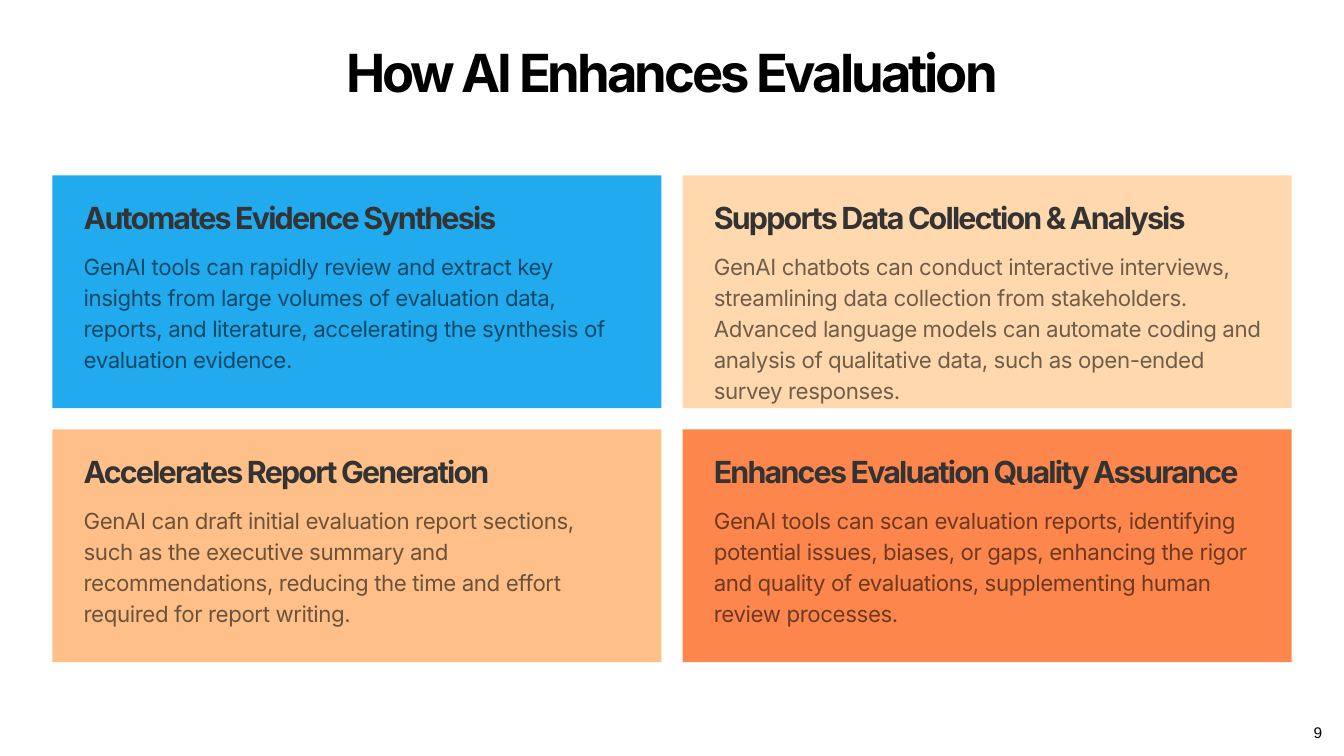
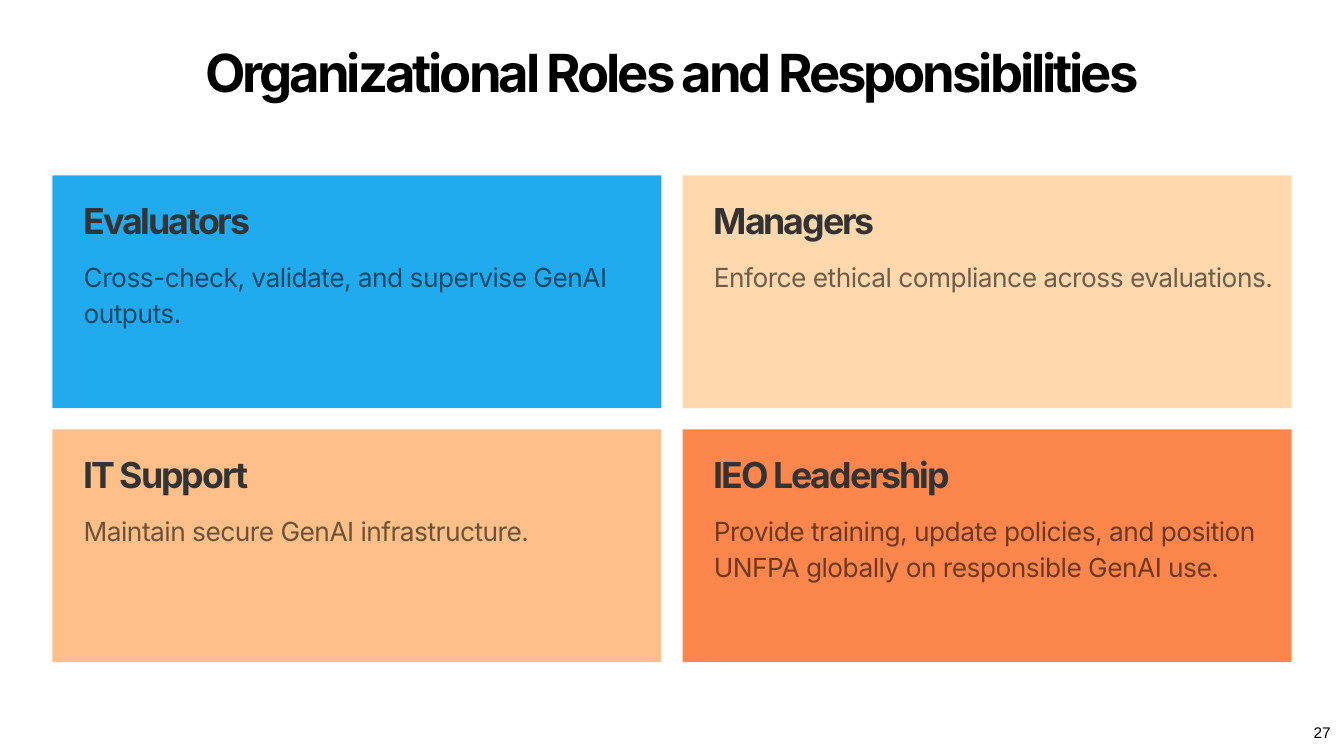
import dataclasses
import lxml.etree
import pptx
import pptx.dml.color
import pptx.enum.shapes
import pptx.enum.text
import pptx.oxml.ns
import pptx.util

Inches = pptx.util.Inches
Pt = pptx.util.Pt
ALIGN = pptx.enum.text.PP_ALIGN
qn = pptx.oxml.ns.qn


@dataclasses.dataclass(frozen=True)
class Style:
    size: float
    color: str
    font: str = "Inter"
    bold: bool = False
    track: float = 0
    line: float = 0
    alpha: int = 100
    align: int = ALIGN.LEFT


@dataclasses.dataclass(frozen=True)
class Cards:
    head: Style
    body: Style
    head_top: float
    head_high: float
    body_top: float


class Theme:
    fills = ("22AAEE", "FFD9AD", "FEC088", "FD864D")
    dark = "333333"
    black = "000000"
    title = Style(37.5, black, bold=True, track=-2.2, line=43.8, align=ALIGN.CENTER)
    page = Style(11, black, font="Arial")
    small = Cards(
        Style(21.7, dark, bold=True, track=-1.3, line=25.3),
        Style(15.9, black, track=-0.3, line=22.1, alpha=56),
        0.25, 0.35, 0.73)
    large = Cards(
        Style(25.5, dark, bold=True, track=-1.5, line=29.8),
        Style(18.8, black, track=-0.4, line=26, alpha=56),
        0.24, 0.41, 0.8)


WIDE, HIGH = 13.33, 7.5
LEFT, TOP = 0.52, 1.74
CARD_WIDE, CARD_HIGH = 6.04, 2.31
GAP = 0.21
INDENT = 0.31
TEXT_WIDE = 6.07


def write(shape, text, style, inset=True):
    frame = shape.text_frame
    frame.auto_size = pptx.enum.text.MSO_AUTO_SIZE.NONE
    frame.vertical_anchor = pptx.enum.text.MSO_ANCHOR.TOP
    frame.word_wrap = True
    if not inset:
        frame.margin_left = frame.margin_right = 0
        frame.margin_top = frame.margin_bottom = 0
    para = frame.paragraphs[0]
    para.text = text
    para.alignment = style.align
    if style.line:
        para.line_spacing = Pt(style.line)
    font = para.font
    font.name = style.font
    font.size = Pt(style.size)
    font.bold = style.bold
    font.color.rgb = pptx.dml.color.RGBColor.from_string(style.color)
    props = para._p.pPr.find(qn("a:defRPr"))
    if style.track:
        props.set("spc", str(round(style.track * 100)))
    if style.alpha < 100:
        color = props.find(".//" + qn("a:srgbClr"))
        alpha = lxml.etree.SubElement(color, qn("a:alpha"))
        alpha.set("val", str(style.alpha * 1000))


def add_text(slide, text, style, left, top, wide, high, inset=False):
    box = slide.shapes.add_textbox(Inches(left), Inches(top), Inches(wide), Inches(high))
    write(box, text, style, inset)


def add_title(slide, text):
    title = slide.shapes.title
    title.left, title.top = Inches(0), Inches(0.41)
    title.width, title.height = Inches(WIDE), Inches(0.61)
    write(title, text, Theme.title, inset=False)


def add_card(slide, place, kind, head, body, wide, high):
    row, col = divmod(place, 2)
    left = LEFT + col * (CARD_WIDE + GAP)
    top = TOP + row * (CARD_HIGH + GAP)
    panel = slide.shapes.add_shape(
        pptx.enum.shapes.MSO_SHAPE.RECTANGLE,
        Inches(left), Inches(top), Inches(CARD_WIDE), Inches(CARD_HIGH))
    panel.shadow.inherit = False
    panel.fill.solid()
    panel.fill.fore_color.rgb = pptx.dml.color.RGBColor.from_string(Theme.fills[place])
    panel.line.fill.background()
    add_text(slide, head, kind.head, left + INDENT, top + kind.head_top,
             TEXT_WIDE, kind.head_high)
    add_text(slide, body, kind.body, left + INDENT, top + kind.body_top, wide, high)


def add_slide(deck, title, page, kind, cards):
    slide = deck.slides.add_slide(deck.slide_layouts.get_by_name("Title Only"))
    add_title(slide, title)
    for place, card in enumerate(cards):
        add_card(slide, place, kind, *card)
    add_text(slide, page, Theme.page, 12.93, 7.12, 0.4, 0.33, inset=True)


def main():
    deck = pptx.Presentation()
    deck.slide_width, deck.slide_height = Inches(WIDE), Inches(HIGH)
    add_slide(deck, "How AI Enhances Evaluation", "9", Theme.small, (
        ("Automates Evidence Synthesis",
         "GenAI tools can rapidly review and extract key insights from large volumes of "
         "evaluation data, reports, and literature, accelerating the synthesis of "
         "evaluation evidence.", 5.46, 1.23),
        ("Supports Data Collection & Analysis",
         "GenAI chatbots can conduct interactive interviews, streamlining data collection "
         "from stakeholders. Advanced language models can automate coding and analysis of "
         "qualitative data, such as open-ended survey responses.", 5.57, 1.23),
        ("Accelerates Report Generation",
         "GenAI can draft initial evaluation report sections, such as the executive summary "
         "and recommendations, reducing the time and effort required for report writing.",
         5.1, 0.92),
        ("Enhances Evaluation Quality Assurance",
         "GenAI tools can scan evaluation reports, identifying potential issues, biases, or "
         "gaps, enhancing the rigor and quality of evaluations, supplementing human review "
         "processes.", 5.63, 1.23),
    ))
    add_slide(deck, "Organizational Roles and Responsibilities", "27", Theme.large, (
        ("Evaluators", "Cross-check, validate, and supervise GenAI outputs.",
         TEXT_WIDE, 0.72),
        ("Managers", "Enforce ethical compliance across evaluations.", TEXT_WIDE, 0.36),
        ("IT Support", "Maintain secure GenAI infrastructure.", TEXT_WIDE, 0.36),
        ("IEO Leadership",
         "Provide training, update policies, and position UNFPA globally on responsible "
         "GenAI use.", TEXT_WIDE, 0.72),
    ))
    deck.save("out.pptx")


if __name__ == "__main__":
    main()
